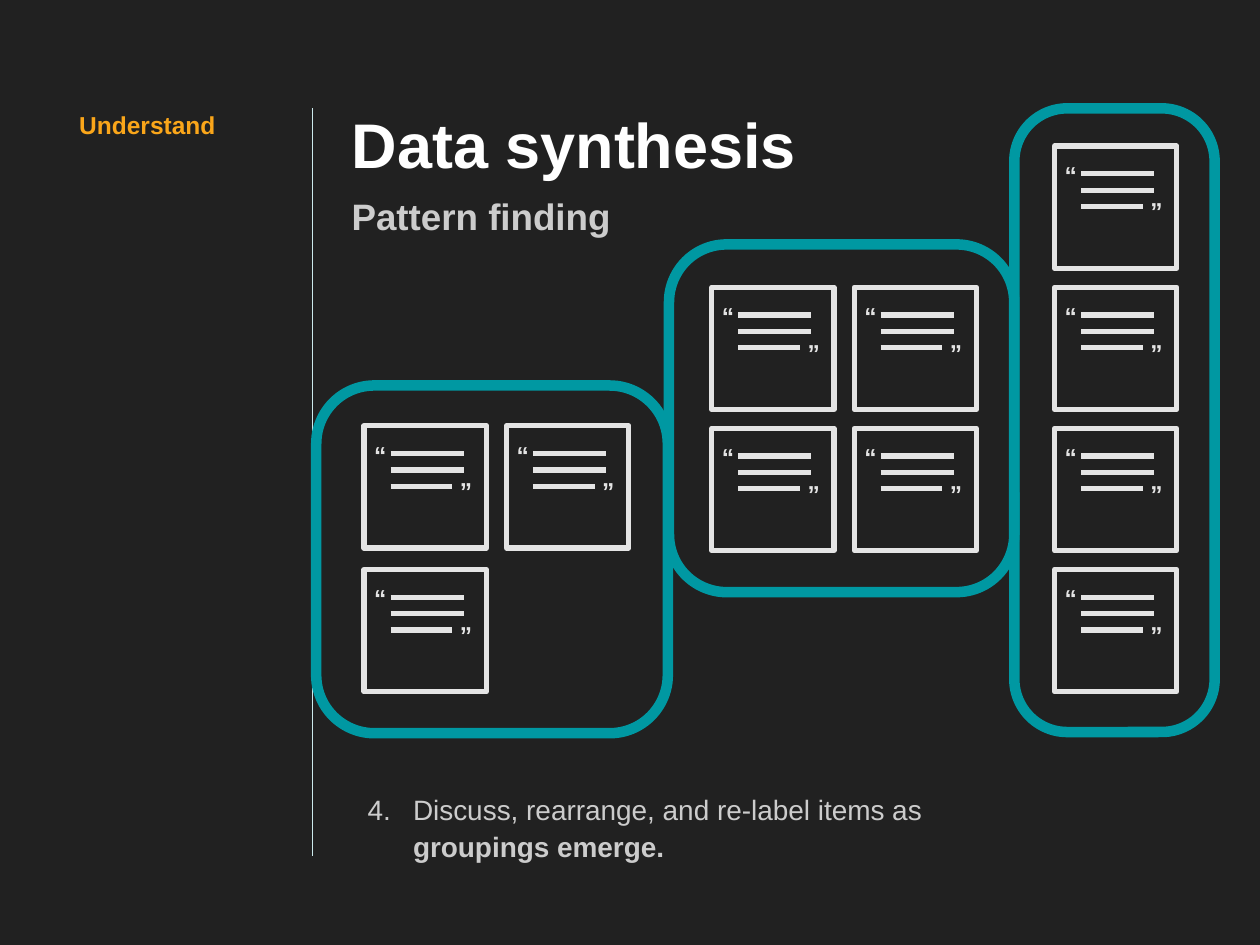
from lxml import etree
from pptx import Presentation
from pptx.dml.color import RGBColor
from pptx.enum.shapes import MSO_CONNECTOR, MSO_SHAPE
from pptx.enum.text import MSO_ANCHOR, MSO_AUTO_SIZE, PP_ALIGN
from pptx.oxml.ns import qn
from pptx.util import Inches, Pt

DARK = RGBColor(0x21, 0x21, 0x21)
WHITE = RGBColor(0xFF, 0xFF, 0xFF)
GREY = RGBColor(0xCC, 0xCC, 0xCC)
PALE = RGBColor(0xE4, 0xE4, 0xE4)
TEAL = RGBColor(0x00, 0x98, 0xA2)
MIST = RGBColor(0xCC, 0xEA, 0xEC)
ORANGE = RGBColor(0xFA, 0xA6, 0x1A)

CARD_SIZE = 0.97
# Frame box, corner rounding, first card, row pitch, cards per row
CLUSTERS = [
    ((8.05, 0.86, 1.59, 4.95), 0.264, (8.37, 1.16), 1.12, [1, 1, 1, 1]),
    ((2.51, 3.06, 2.79, 2.76), 0.167, (2.89, 3.38), 1.14, [2, 1]),
    ((5.31, 1.94, 2.74, 2.76), 0.167, (5.65, 2.28), 1.12, [2, 2]),
]
COLUMN_PITCH = 1.13


def add_span(para, text, size, color, bold=False):
    span = para.add_run()
    span.text = text
    span.font.name = "Arial"
    span.font.size = Pt(size)
    span.font.bold = bold
    span.font.color.rgb = color


def set_frame(shape, inset=0.1, anchor=MSO_ANCHOR.TOP):
    frame = shape.text_frame
    frame.word_wrap = True
    frame.auto_size = MSO_AUTO_SIZE.NONE
    frame.vertical_anchor = anchor
    frame.margin_left = frame.margin_right = Inches(inset)
    frame.margin_top = frame.margin_bottom = Inches(inset)
    para = frame.paragraphs[0]
    para.alignment = PP_ALIGN.LEFT
    para.line_spacing = 1.1
    return frame


def add_text_box(shapes, box, inset=0.1, anchor=MSO_ANCHOR.TOP):
    shape = shapes.add_textbox(*map(Inches, box))
    return set_frame(shape, inset, anchor).paragraphs[0]


def add_line(shapes, left, top, right, bottom, color, width):
    ends = map(Inches, (left, top, right, bottom))
    line = shapes.add_connector(MSO_CONNECTOR.STRAIGHT, *ends)
    line.line.color.rgb = color
    line.line.width = Pt(width)
    etree.SubElement(line._element.spPr, qn("a:effectLst"))


def add_outline(shapes, kind, box, color, width):
    shape = shapes.add_shape(kind, *map(Inches, box))
    shape.shadow.inherit = False
    shape.fill.background()
    shape.line.color.rgb = color
    shape.line.width = Pt(width)
    return shape


def add_quote_card(page, left, top):
    shapes = page.shapes.add_group_shape().shapes
    add_outline(shapes, MSO_SHAPE.RECTANGLE,
                (left, top, CARD_SIZE, CARD_SIZE), PALE, 3)
    for mark, x, y in [("“", 0.02, 0.05), ("”", 0.7, 0.34)]:
        para = add_text_box(shapes, (left + x, top + y, 0.2, 0.33),
                            0.06, MSO_ANCHOR.MIDDLE)
        add_span(para, mark, 14, PALE, True)
    for index, end in enumerate([0.79, 0.79, 0.7]):
        y = top + 0.22 + 0.13 * index
        add_line(shapes, left + 0.21, y, left + end, y, PALE, 3)


def add_cluster(page, box, rounding, first_card, row_pitch, rows):
    frame = add_outline(page.shapes, MSO_SHAPE.ROUNDED_RECTANGLE, box, TEAL, 6)
    frame.adjustments[0] = rounding
    left, top = first_card
    for row, count in enumerate(rows):
        for column in range(count):
            add_quote_card(page, left + column * COLUMN_PITCH,
                           top + row * row_pitch)


def add_title(page, box):
    title = page.shapes.title
    title.left, title.top, title.width, title.height = map(Inches, box)
    frame = set_frame(title)
    add_span(frame.paragraphs[0], "Data synthesis", 36, WHITE, True)
    subtitle = frame.add_paragraph()
    subtitle.alignment = PP_ALIGN.LEFT
    subtitle.line_spacing = 1.2
    subtitle.space_before = Pt(2)
    add_span(subtitle, "Pattern finding", 21, GREY, True)


def add_step(page, box):
    para = add_text_box(page.shapes, box, anchor=MSO_ANCHOR.BOTTOM)
    # Numbered item with a hanging indent
    props = para._p.get_or_add_pPr()
    props.set("marL", str(Inches(0.5)))
    props.set("indent", str(Inches(-0.36)))
    color = etree.SubElement(props, qn("a:buClr"))
    etree.SubElement(color, qn("a:srgbClr"), val=str(GREY))
    etree.SubElement(props, qn("a:buFont"), typeface="Arial")
    etree.SubElement(props, qn("a:buAutoNum"), type="arabicPeriod", startAt="4")
    add_span(para, "Discuss, rearrange, and re-label items as ", 16, GREY)
    add_span(para, "groupings emerge.", 16, GREY, True)


def main():
    deck = Presentation()
    deck.slide_width, deck.slide_height = Inches(10), Inches(7.5)
    page = deck.slides.add_slide(deck.slide_layouts[5])
    page.background.fill.solid()
    page.background.fill.fore_color.rgb = DARK

    # Divider and step
    add_line(page.shapes, 2.48, 0.86, 2.48, 6.79, MIST, 0.75)
    add_step(page, (2.68, 4.18, 4.83, 2.77))

    # Groups of quotes
    for cluster in CLUSTERS:
        add_cluster(page, *cluster)

    # Headings
    add_title(page, (2.69, 0.68, 6.91, 2.16))
    section = add_text_box(page.shapes, (0.53, 0.75, 1.79, 0.44))
    add_span(section, "Understand", 14, ORANGE, True)

    deck.save("out.pptx")


if __name__ == "__main__":
    main()
